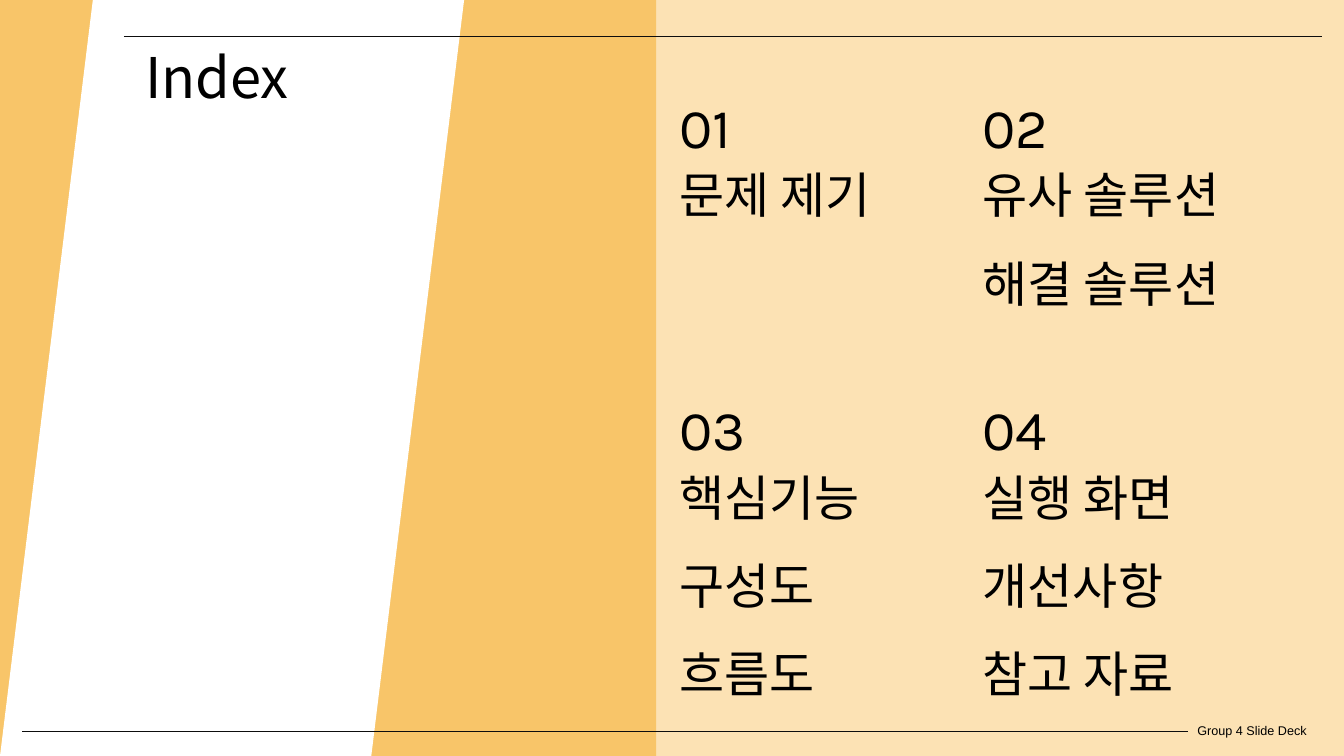
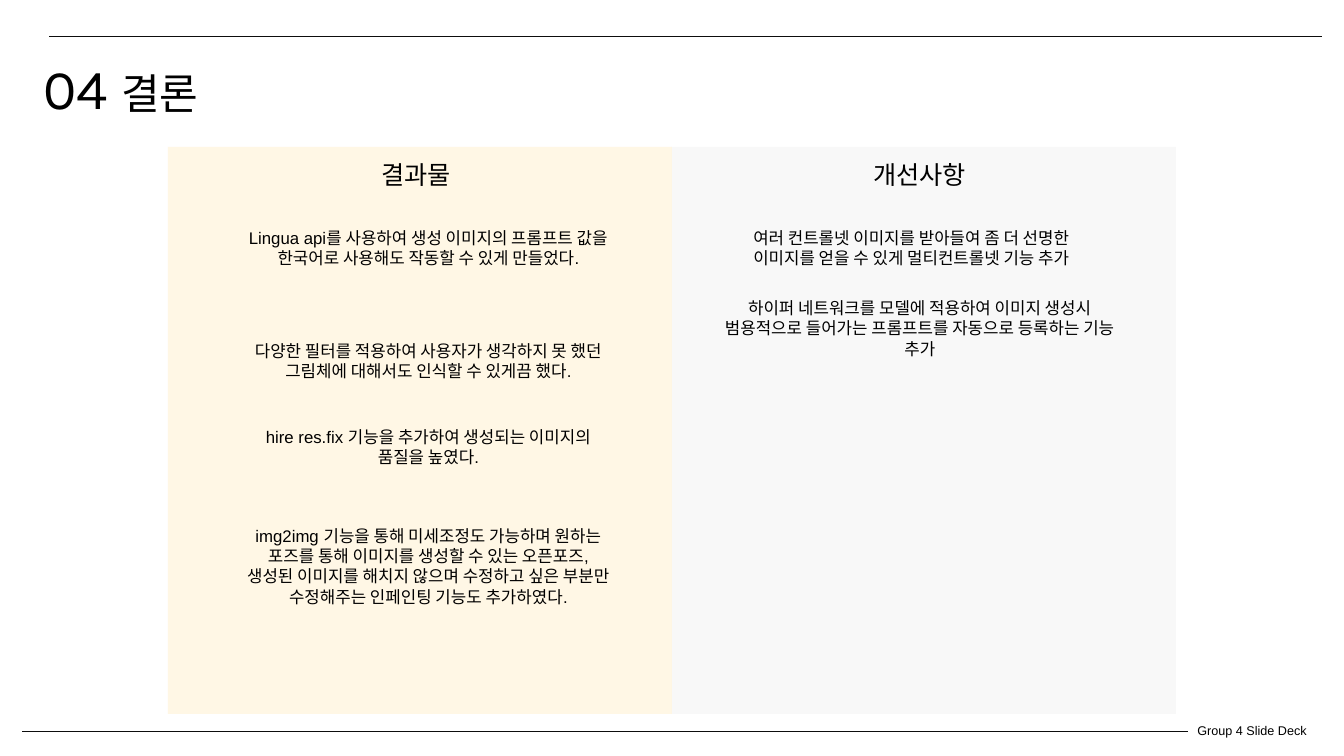
from dataclasses import dataclass

import pptx
import pptx.dml.color
import pptx.enum.shapes
import pptx.enum.text
import pptx.oxml.ns
import pptx.shapes.autoshape
import pptx.slide
import pptx.util
from lxml import etree

RGBColor = pptx.dml.color.RGBColor
Pt = pptx.util.Pt
Shape = pptx.enum.shapes.MSO_SHAPE
CENTER = pptx.enum.text.PP_ALIGN.CENTER

PX = 9525
WIDTH, HEIGHT = 1280, 720

AMBER = RGBColor(0xF8, 0xC5, 0x69)
PALE_AMBER = RGBColor(0xFC, 0xE2, 0xB4)
YELLOW = RGBColor(0xFF, 0xD3, 0x72)
GREY = RGBColor(0xDD, 0xDD, 0xDD)
WHITE = RGBColor(0xFF, 0xFF, 0xFF)
BLACK = RGBColor(0, 0, 0)
RULE_COLOR = RGBColor(0x0D, 0x0D, 0x0D)

FOOTER_TEXT = "Group 4 Slide Deck"
FOOTER = {"name": "Arial", "size": Pt(9)}
INDEX_TITLE = {"name": "Noto Sans CJK KR", "size": Pt(40)}
INDEX_ITEM = {"name": "Noto Sans CJK KR", "size": Pt(35)}
NUMBER = {"name": "Karla", "size": Pt(40)}
SECTION_TITLE = {"name": "Karla", "size": Pt(30)}
PANEL_HEADING = {"name": "Calibri", "size": Pt(18)}
NOTE = {"name": "Arial", "size": Pt(12)}


@dataclass(frozen=True)
class Area:
    left: int
    top: int
    width: int
    height: int

    def emu(self) -> list[int]:
        return [n * PX for n in (self.left, self.top, self.width, self.height)]


@dataclass(frozen=True)
class Span:
    text: str
    style: dict


@dataclass(frozen=True)
class IndexEntry:
    number: str
    items: list[str]


@dataclass(frozen=True)
class Note:
    area: Area
    text: str


@dataclass(frozen=True)
class Panel:
    color: RGBColor
    heading: str
    heading_area: Area
    notes: list[Note]


INDEX_ENTRIES = [
    IndexEntry("01", ["문제 제기"]),
    IndexEntry("02", ["유사 솔루션", "해결 솔루션"]),
    IndexEntry("03", ["핵심기능", "구성도", "흐름도"]),
    IndexEntry("04", ["실행 화면", "개선사항", "참고 자료"]),
]

PANELS = [
    Panel(YELLOW, "결과물", Area(344, 147, 104, 38), [
        Note(Area(224, 212, 368, 87),
             "Lingua api를 사용하여 생성 이미지의 프롬프트 값을 한국어로 사용해도 "
             "작동할 수 있게 만들었다."),
        Note(Area(224, 320, 368, 48),
             "다양한 필터를 적용하여 사용자가 생각하지 못 했던 그림체에 대해서도 "
             "인식할 수 있게끔 했다."),
        Note(Area(224, 402, 368, 48),
             "hire res.fix 기능을 추가하여 생성되는 이미지의 품질을 높였다."),
        Note(Area(224, 496, 368, 107),
             "img2img 기능을 통해 미세조정도 가능하며 원하는 포즈를 통해 이미지를 "
             "생성할 수 있는 오픈포즈, 생성된 이미지를 해치지 않으며 수정하고 싶은 "
             "부분만 수정해주는 인페인팅 기능도 추가하였다."),
    ]),
    Panel(GREY, "개선사항", Area(816, 147, 120, 38), [
        Note(Area(680, 212, 376, 48),
             "여러 컨트롤넷 이미지를 받아들여 좀 더 선명한 이미지를 얻을 수 있게 "
             "멀티컨트롤넷 기능 추가"),
        Note(Area(680, 279, 392, 68),
             "하이퍼 네트워크를 모델에 적용하여 이미지 생성시 범용적으로 들어가는 "
             "프롬프트를 자동으로 등록하는 기능 추가"),
    ]),
]


def add_text(page: pptx.slide.Slide, area: Area, paras: list[list[Span]],
             para_format: dict | None = None, inset: bool = True) -> None:
    box = page.shapes.add_textbox(*area.emu())
    frame = box.text_frame
    frame.word_wrap = True
    frame.auto_size = pptx.enum.text.MSO_AUTO_SIZE.SHAPE_TO_FIT_TEXT
    if not inset:
        for side in ("left", "top", "right", "bottom"):
            setattr(frame, f"margin_{side}", 0)
    for index, spans in enumerate(paras):
        para = frame.add_paragraph() if index else frame.paragraphs[0]
        for key, value in (para_format or {}).items():
            setattr(para, key, value)
        for span in spans:
            run = para.add_run()
            run.text = span.text
            run.font.color.rgb = BLACK
            for key, value in span.style.items():
                setattr(run.font, key, value)


def add_block(page: pptx.slide.Slide, kind: Shape, area: Area,
              color: RGBColor) -> pptx.shapes.autoshape.Shape:
    """Draw a filled shape without outline or shadow."""
    block = page.shapes.add_shape(kind, *area.emu())
    block.shadow.inherit = False
    block.fill.solid()
    block.fill.fore_color.rgb = color
    block.line.fill.background()
    return block


def set_opacity(block: pptx.shapes.autoshape.Shape, percent: int) -> None:
    color = block._element.spPr.find(".//" + pptx.oxml.ns.qn("a:srgbClr"))
    alpha = etree.SubElement(color, pptx.oxml.ns.qn("a:alpha"))
    alpha.set("val", str(percent * 1000))


def add_rule(page: pptx.slide.Slide, start: int, end: int, y: int) -> None:
    rule = page.shapes.add_connector(
        pptx.enum.shapes.MSO_CONNECTOR.STRAIGHT,
        start * PX, y * PX, end * PX, y * PX)
    rule.line.color.rgb = RULE_COLOR
    rule.line.width = Pt(0.75)
    etree.SubElement(rule._element.spPr, pptx.oxml.ns.qn("a:effectLst"))


def add_page(deck: pptx.presentation.Presentation,
             background: RGBColor) -> pptx.slide.Slide:
    page = deck.slides.add_slide(deck.slide_layouts[6])
    page.background.fill.solid()
    page.background.fill.fore_color.rgb = background
    return page


def add_frame(page: pptx.slide.Slide, top_rule_start: int) -> None:
    """Draw the footer and the two rules that every page shares."""
    add_text(page, Area(1131, 684, 142, 38), [[Span(FOOTER_TEXT, FOOTER)]])
    add_rule(page, 1131, 21, 697)
    add_rule(page, top_rule_start, 1259, 35)


def build_index(deck: pptx.presentation.Presentation) -> None:
    page = add_page(deck, PALE_AMBER)
    add_block(page, Shape.RECTANGLE, Area(0, 0, 625, HEIGHT), AMBER)
    slant = add_block(page, Shape.PARALLELOGRAM, Area(0, 0, 442, HEIGHT), WHITE)
    slant.adjustments[0] = 0.2
    add_frame(page, 118)
    add_text(page, Area(101, 36, 211, 74), [[Span("Index", INDEX_TITLE)]],
             {"alignment": CENTER})
    for index, entry in enumerate(INDEX_ENTRIES):
        row, column = divmod(index, 2)
        left, top = 647 + 289 * column, 288 * row
        add_text(page, Area(left, top, 309, 128), [[Span(entry.number, NUMBER)]],
                 {"line_spacing": Pt(114)}, inset=False)
        add_text(page, Area(left, top + 129, 309, 80 * len(entry.items)),
                 [[Span(item, INDEX_ITEM)] for item in entry.items],
                 {"line_spacing": 1.5}, inset=False)


def build_conclusion(deck: pptx.presentation.Presentation) -> None:
    page = add_page(deck, WHITE)
    add_frame(page, 47)
    add_text(page, Area(32, 46, 496, 74),
             [[Span("04 ", NUMBER), Span("결론", SECTION_TITLE)]])
    for index, panel in enumerate(PANELS):
        block = add_block(page, Shape.RECTANGLE,
                          Area(160 + 480 * index, 140, 480, 540), panel.color)
        set_opacity(block, 18)
        add_text(page, panel.heading_area, [[Span(panel.heading, PANEL_HEADING)]],
                 {"alignment": CENTER})
        for note in panel.notes:
            add_text(page, note.area, [[Span(note.text, NOTE)]],
                     {"alignment": CENTER})


def main() -> None:
    deck = pptx.Presentation()
    deck.slide_width, deck.slide_height = WIDTH * PX, HEIGHT * PX
    build_index(deck)
    build_conclusion(deck)
    deck.save("out.pptx")


if __name__ == "__main__":
    main()
